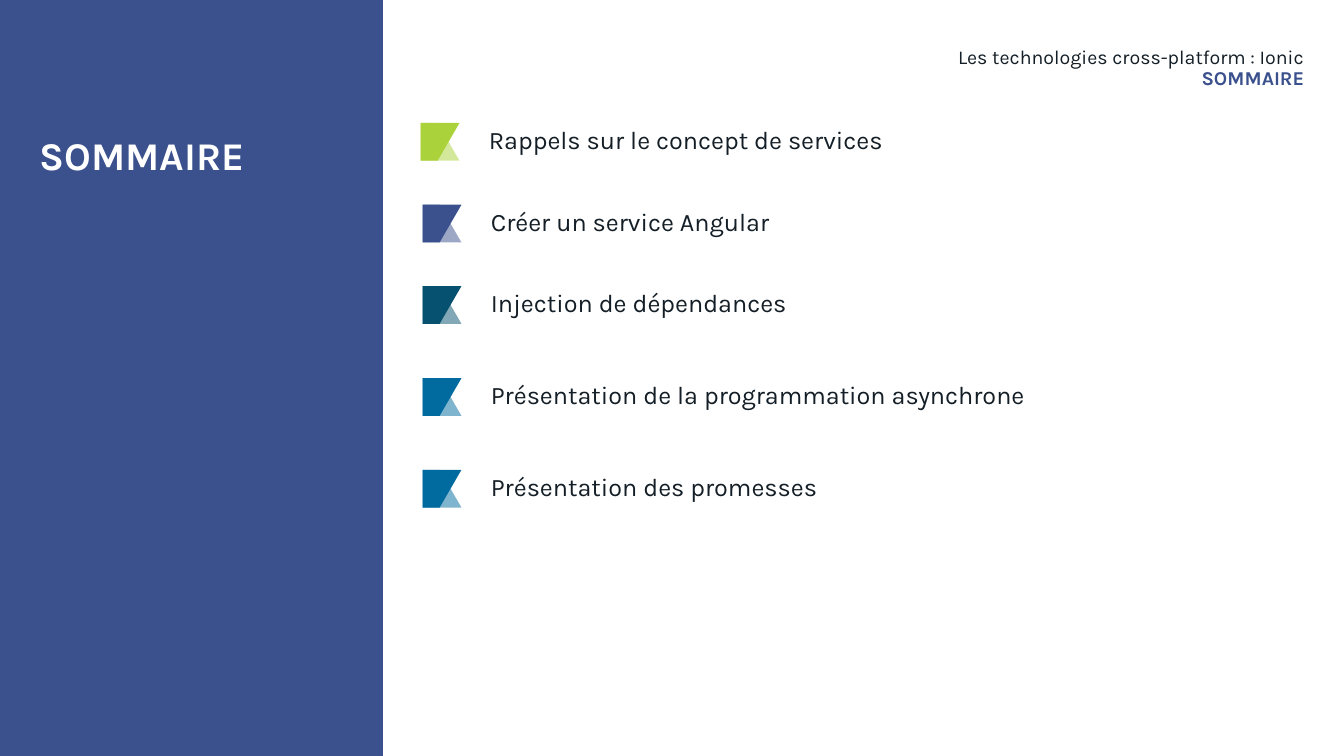
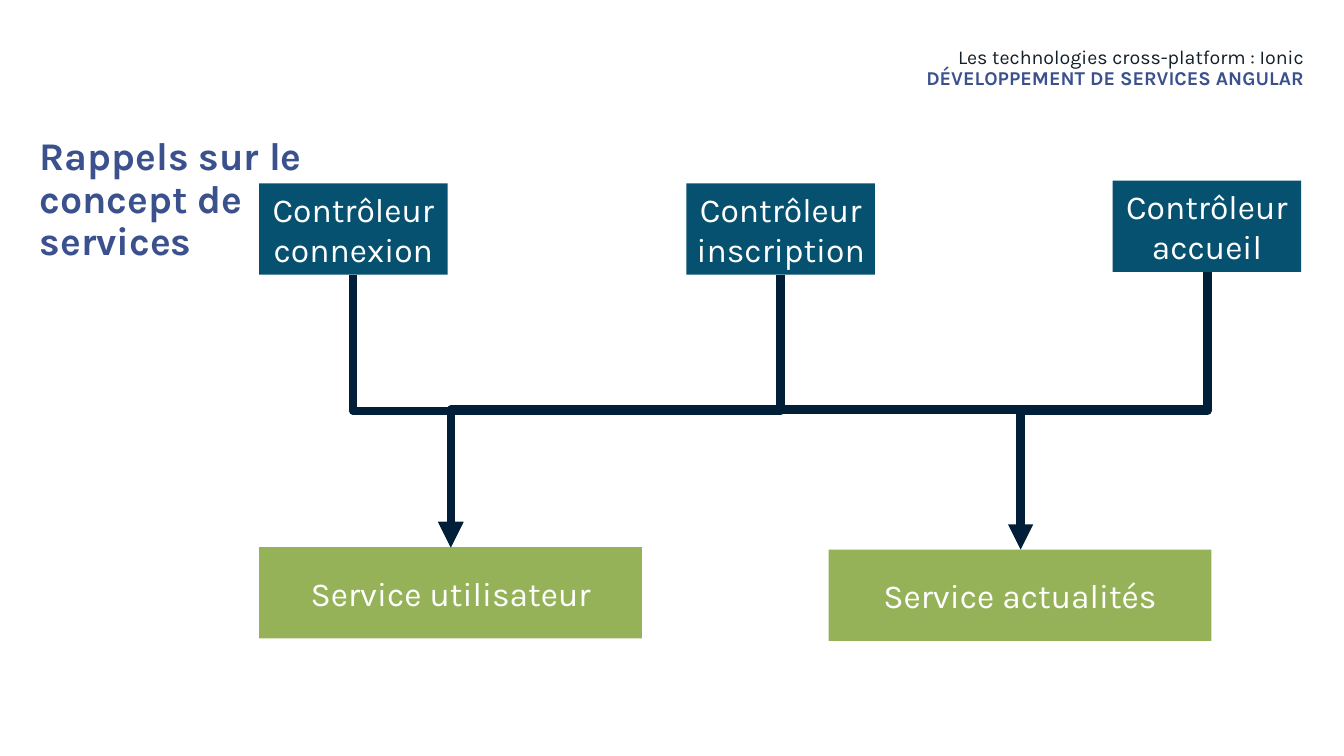
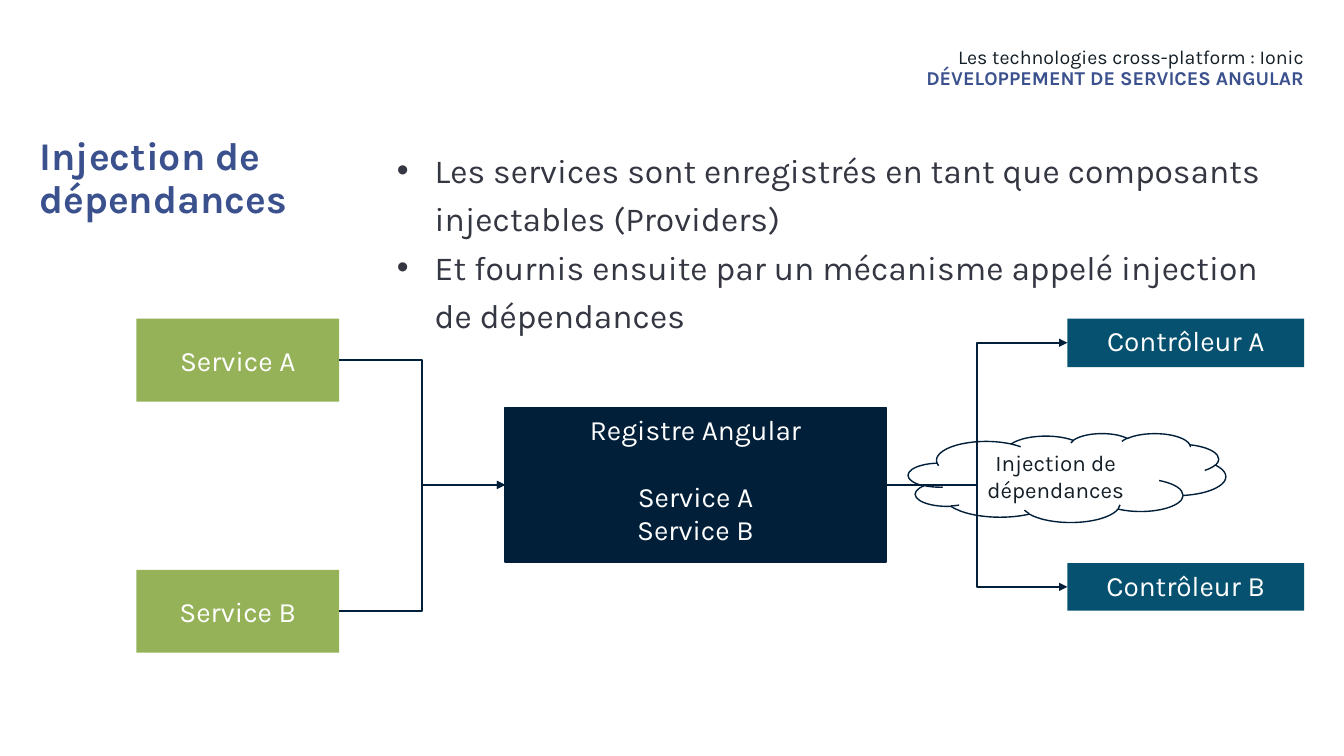
from lxml.etree import SubElement
from pptx import Presentation
from pptx.dml.color import RGBColor
from pptx.enum.shapes import MSO_CONNECTOR, MSO_SHAPE
from pptx.enum.text import MSO_ANCHOR as Anchor, MSO_AUTO_SIZE, PP_ALIGN as Align
from pptx.oxml.ns import qn
from pptx.util import Cm, Pt

WHITE = RGBColor(0xFF, 0xFF, 0xFF)
INK = RGBColor(0x14, 0x1E, 0x26)
SLATE = RGBColor(0x34, 0x36, 0x42)
INDIGO = RGBColor(0x3B, 0x51, 0x8E)
LIME = RGBColor(0xAA, 0xD2, 0x3B)
OLIVE = RGBColor(0x95, 0xB2, 0x58)
TEAL = RGBColor(0x06, 0x51, 0x6F)
BLUE = RGBColor(0x01, 0x6B, 0x9F)
NAVY = RGBColor(0x01, 0x1F, 0x39)
FONT = "Karla"
COURSE = "Les technologies cross-platform : Ionic"
CHAPTER = "DÉVELOPPEMENT DE SERVICES ANGULAR"


def write(frame, text, size=18, colour=INK, bold=False, align=Align.LEFT,
          spacing=1.0, before=0, bullet_indent=None):
    para = frame.add_paragraph() if frame.text else frame.paragraphs[0]
    if bullet_indent is not None:
        properties = para._p.get_or_add_pPr()
        properties.set("marL", str(bullet_indent))
        properties.set("indent", str(-bullet_indent))
        SubElement(properties, qn("a:buChar"), char="•")
    para.alignment = align
    para.line_spacing = spacing
    para.space_before = Pt(before)
    span = para.add_run()
    span.text = text
    span.font.name = FONT
    span.font.size = Pt(size)
    span.font.bold = bold
    span.font.color.rgb = colour


def add_elbow(slide, start, end, width, vertical):
    (x1, y1), (x2, y2) = start, end
    if vertical:
        middle_x, middle_y = (x1 + x2) / 2, (y1 + y2) / 2
        half, side = (y2 - y1) / 2, (x1 - x2) / 2
        x1, x2 = middle_x - half, middle_x + half
        y1, y2 = middle_y - side, middle_y + side
    elbow = slide.shapes.add_connector(
        MSO_CONNECTOR.ELBOW, Cm(x1), Cm(y1), Cm(x2), Cm(y2))
    if vertical:
        elbow.element.spPr.find(qn("a:xfrm")).set("rot", "5400000")
    elbow.line.color.rgb = NAVY
    elbow.line.width = Pt(width)
    SubElement(elbow.line._get_or_add_ln(), qn("a:tailEnd"), type="triangle")
    SubElement(elbow.element.spPr, qn("a:effectLst"))


deck = Presentation()
deck.slide_width = Cm(33.87)
deck.slide_height = Cm(19.05)

pages = []
for layout, title, title_colour, section in [
    (5, "SOMMAIRE", WHITE, "SOMMAIRE"),
    (5, "Rappels sur le concept de services", INDIGO, CHAPTER),
    (1, "Injection de dépendances", INDIGO, CHAPTER),
]:
    page = deck.slides.add_slide(deck.slide_layouts[layout])
    heading = page.shapes.title
    heading.left, heading.top = Cm(1), Cm(3.45)
    heading.width, heading.height = Cm(7.92), Cm(12.29)
    header = page.shapes.add_textbox(Cm(10.62), Cm(1.19), Cm(22.25), Cm(1.5))
    for box in (heading, header):
        frame = box.text_frame
        frame.word_wrap = True
        frame.auto_size = MSO_AUTO_SIZE.NONE
        frame.vertical_anchor = Anchor.TOP
        frame.margin_left = frame.margin_right = 0
        frame.margin_top = frame.margin_bottom = 0
    write(heading.text_frame, title, size=28, colour=title_colour, bold=True, spacing=0.9)
    write(header.text_frame, COURSE, size=14, align=Align.RIGHT, spacing=0.9)
    write(header.text_frame, section, size=14, colour=INDIGO, bold=True,
          align=Align.RIGHT, spacing=0.9)
    pages.append(page)

summary, reminder, injection = pages

panel = summary.shapes.add_shape(MSO_SHAPE.RECTANGLE, 0, 0, Cm(9.65), deck.slide_height)
panel.shadow.inherit = False
panel.fill.solid()
panel.fill.fore_color.rgb = INDIGO
panel.line.fill.background()
summary.shapes.element.insert(2, panel.element)

MARKER_WIDTH, MARKER_HEIGHT, MARKER_FOOT = 0.98, 0.95, 0.43
for left, top, colour, topic in [
    (10.6, 3.1, LIME, "Rappels sur le concept de services"),
    (10.65, 5.16, INDIGO, "Créer un service Angular"),
    (10.65, 7.21, TEAL, "Injection de dépendances"),
    (10.65, 9.53, BLUE, "Présentation de la programmation asynchrone"),
    (10.65, 11.84, BLUE, "Présentation des promesses"),
]:
    bottom = top + MARKER_HEIGHT
    for wide_y, narrow_y, opacity in [(bottom, top, 50), (top, bottom, 100)]:
        outline = summary.shapes.build_freeform(Cm(left), Cm(wide_y))
        outline.add_line_segments([
            (Cm(left + MARKER_WIDTH), Cm(wide_y)),
            (Cm(left + MARKER_FOOT), Cm(narrow_y)),
            (Cm(left), Cm(narrow_y)),
        ])
        marker = outline.convert_to_shape()
        marker.shadow.inherit = False
        marker.fill.solid()
        marker.fill.fore_color.rgb = colour
        marker.line.fill.background()
        if opacity < 100:
            tint = marker.element.spPr.find(qn("a:solidFill"))[0]
            SubElement(tint, qn("a:alpha"), val=str(opacity * 1000))
    label = summary.shapes.add_textbox(Cm(left + 1.47), Cm(top), Cm(18.34), Cm(0.94))
    label.text_frame.word_wrap = True
    write(label.text_frame, topic, spacing=0.9)

body = injection.placeholders[1]
body.left, body.top, body.width, body.height = Cm(9.75), Cm(3.45), Cm(23.14), Cm(5.05)
body.text_frame.auto_size = MSO_AUTO_SIZE.NONE
for point in [
    "Les services sont enregistrés en tant que composants injectables (Providers)",
    "Et fournis ensuite par un mécanisme appelé injection de dépendances",
]:
    write(body.text_frame, point, size=24, colour=SLATE, spacing=1.2, bullet_indent=Cm(0.95))

RECT, CLOUD = MSO_SHAPE.RECTANGLE, MSO_SHAPE.CLOUD
for page, kind, left, top, width, height, fill, border, anchor, size, colour, lines in [
    (reminder, RECT, 6.53, 4.62, 4.75, 2.3, TEAL, None, Anchor.MIDDLE, 24, WHITE,
     ["Contrôleur connexion"]),
    (reminder, RECT, 17.3, 4.62, 4.75, 2.3, TEAL, None, Anchor.MIDDLE, 24, WHITE,
     ["Contrôleur inscription"]),
    (reminder, RECT, 28.04, 4.55, 4.75, 2.3, TEAL, None, Anchor.MIDDLE, 24, WHITE,
     ["Contrôleur accueil"]),
    (reminder, RECT, 6.53, 13.79, 9.65, 2.3, OLIVE, None, Anchor.MIDDLE, 24, WHITE,
     ["Service utilisateur"]),
    (reminder, RECT, 20.88, 13.85, 9.65, 2.3, OLIVE, None, Anchor.MIDDLE, 24, WHITE,
     ["Service actualités"]),
    (injection, RECT, 12.73, 10.27, 9.6, 3.89, NAVY, NAVY, Anchor.TOP, 20, WHITE,
     ["Registre Angular", "Service A", "Service B"]),
    (injection, RECT, 3.44, 8.03, 5.11, 2.09, OLIVE, None, Anchor.MIDDLE, 20, WHITE,
     ["Service A"]),
    (injection, RECT, 3.44, 14.36, 5.11, 2.09, OLIVE, None, Anchor.MIDDLE, 20, WHITE,
     ["Service B"]),
    (injection, RECT, 26.9, 8.03, 5.97, 1.22, TEAL, None, Anchor.TOP, 20, WHITE,
     ["Contrôleur A"]),
    (injection, RECT, 26.9, 14.19, 5.97, 1.2, TEAL, None, Anchor.TOP, 20, WHITE,
     ["Contrôleur B"]),
    (injection, CLOUD, 22.89, 10.92, 8, 2.24, None, NAVY, Anchor.MIDDLE, 16, INK,
     ["Injection de dépendances"]),
]:
    box = page.shapes.add_shape(kind, Cm(left), Cm(top), Cm(width), Cm(height))
    box.shadow.inherit = False
    if fill is None:
        box.fill.background()
    else:
        box.fill.solid()
        box.fill.fore_color.rgb = fill
    if border is None:
        box.line.fill.background()
    else:
        box.line.color.rgb = border
        box.line.width = Pt(1)
    box.text_frame.word_wrap = True
    box.text_frame.vertical_anchor = anchor
    for index, line in enumerate(lines):
        write(box.text_frame, line, size=size, colour=colour, align=Align.CENTER,
              before=23.5 if index == 1 else 0)

for start, end in [
    ((30.43, 6.85), (25.72, 13.85)),
    ((19.67, 6.92), (11.36, 13.79)),
    ((30.43, 6.85), (11.36, 13.79)),
    ((8.9, 6.92), (11.36, 13.79)),
]:
    add_elbow(reminder, start, end, width=6, vertical=True)

for start, end in [
    ((8.55, 9.08), (12.73, 12.22)),
    ((8.55, 15.39), (12.73, 12.22)),
    ((22.33, 12.22), (26.9, 14.79)),
    ((22.33, 12.22), (26.9, 8.64)),
]:
    add_elbow(injection, start, end, width=1.5, vertical=False)

deck.save("out.pptx")
